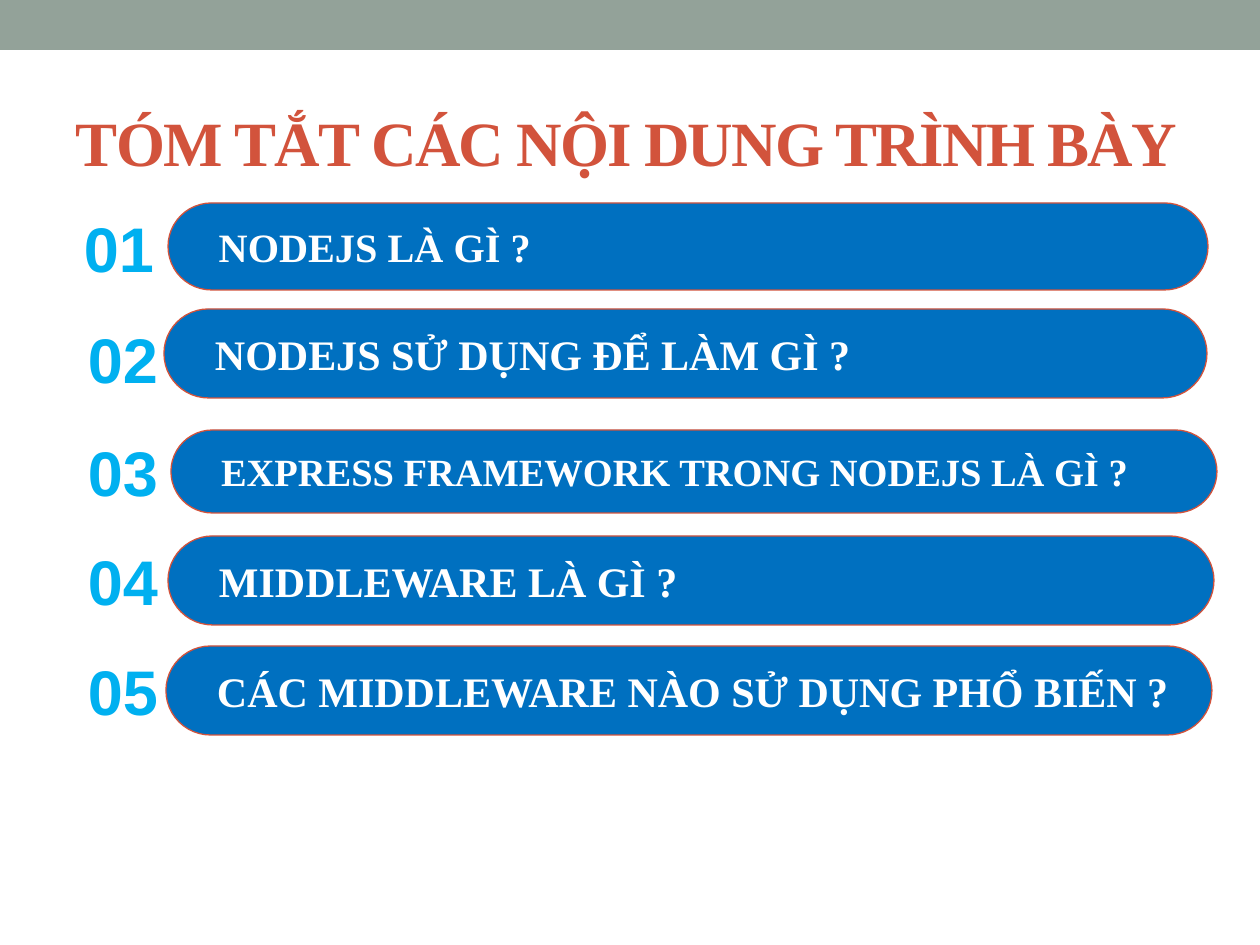
from dataclasses import dataclass

from pptx import Presentation
from pptx.dml.color import RGBColor
from pptx.enum.shapes import MSO_SHAPE
from pptx.enum.text import MSO_ANCHOR, PP_ALIGN
from pptx.util import Emu, Pt

PX_PER_INCH = 126


@dataclass(frozen=True)
class Theme:
    band: str = "93A299"
    accent: str = "D2533C"
    bar: str = "0070C0"
    number: str = "00B0F0"
    bar_text: str = "FFFFFF"
    heading_font: str = "Times New Roman"
    number_font: str = "Arial"
    large_size: int = 36
    outline_width: float = 0.75


THEME = Theme()

NUMBER_WIDTH = 132
NUMBER_HEIGHT = 89

AGENDA = [
    ("NODEJS LÀ GÌ ?", 23, (168, 203, 1040, 87), (53, 203)),
    ("NODEJS SỬ DỤNG ĐỂ LÀM GÌ ?", 24, (164, 309, 1043, 89), (57, 314)),
    ("EXPRESS FRAMEWORK TRONG NODEJS LÀ GÌ ?", 22, (171, 430, 1046, 83), (57, 427)),
    ("MIDDLEWARE LÀ GÌ ?", 24, (168, 536, 1046, 89), (57, 536)),
    ("CÁC MIDDLEWARE NÀO SỬ DỤNG PHỔ BIẾN ?", 24, (166, 646, 1046, 89), (57, 646)),
]


def px(length):
    return Emu(round(length * 914400 / PX_PER_INCH))


def color(value):
    return RGBColor.from_string(value)


def write_text(shape, text, font_name, size, font_color, align=PP_ALIGN.LEFT, insets=(13, 13)):
    frame = shape.text_frame
    frame.word_wrap = True
    frame.vertical_anchor = MSO_ANCHOR.MIDDLE
    frame.margin_left, frame.margin_right = map(px, insets)
    frame.margin_top = frame.margin_bottom = px(6)
    frame.text = text
    paragraph = frame.paragraphs[0]
    paragraph.alignment = align
    run = paragraph.runs[0]
    run.font.name = font_name
    run.font.size = Pt(size)
    run.font.bold = True
    run.font.color.rgb = color(font_color)
    return run


def add_filled_shape(slide, kind, box, fill):
    shape = slide.shapes.add_shape(kind, *map(px, box))
    shape.shadow.inherit = False
    shape.fill.solid()
    shape.fill.fore_color.rgb = color(fill)
    shape.line.fill.background()
    return shape


def add_title(slide, text):
    title = slide.shapes.add_textbox(*map(px, (63, 73, 1134, 136)))
    run = write_text(title, text, THEME.heading_font, THEME.large_size, THEME.accent)
    run.font._element.set("spc", "-100")


def add_bar(slide, text, size, box):
    bar = add_filled_shape(slide, MSO_SHAPE.ROUNDED_RECTANGLE, box, THEME.bar)
    bar.adjustments[0] = 0.5
    bar.line.color.rgb = color(THEME.accent)
    bar.line.width = Pt(THEME.outline_width)
    write_text(bar, text, THEME.heading_font, size, THEME.bar_text, insets=(38, 13))


def add_number(slide, number, position):
    box = slide.shapes.add_textbox(*map(px, (*position, NUMBER_WIDTH, NUMBER_HEIGHT)))
    write_text(box, f"{number:02d}", THEME.number_font, THEME.large_size,
               THEME.number, PP_ALIGN.CENTER, (15, 15))


def main():
    presentation = Presentation()
    presentation.slide_width = px(1260)
    presentation.slide_height = px(945)
    slide = presentation.slides.add_slide(presentation.slide_layouts[6])
    add_filled_shape(slide, MSO_SHAPE.RECTANGLE, (0, 0, 1260, 50), THEME.band)
    add_title(slide, "TÓM TẮT CÁC NỘI DUNG TRÌNH BÀY")
    for number, (text, size, bar_box, number_position) in enumerate(AGENDA, start=1):
        add_bar(slide, text, size, bar_box)
        add_number(slide, number, number_position)
    presentation.save("out.pptx")


if __name__ == "__main__":
    main()
